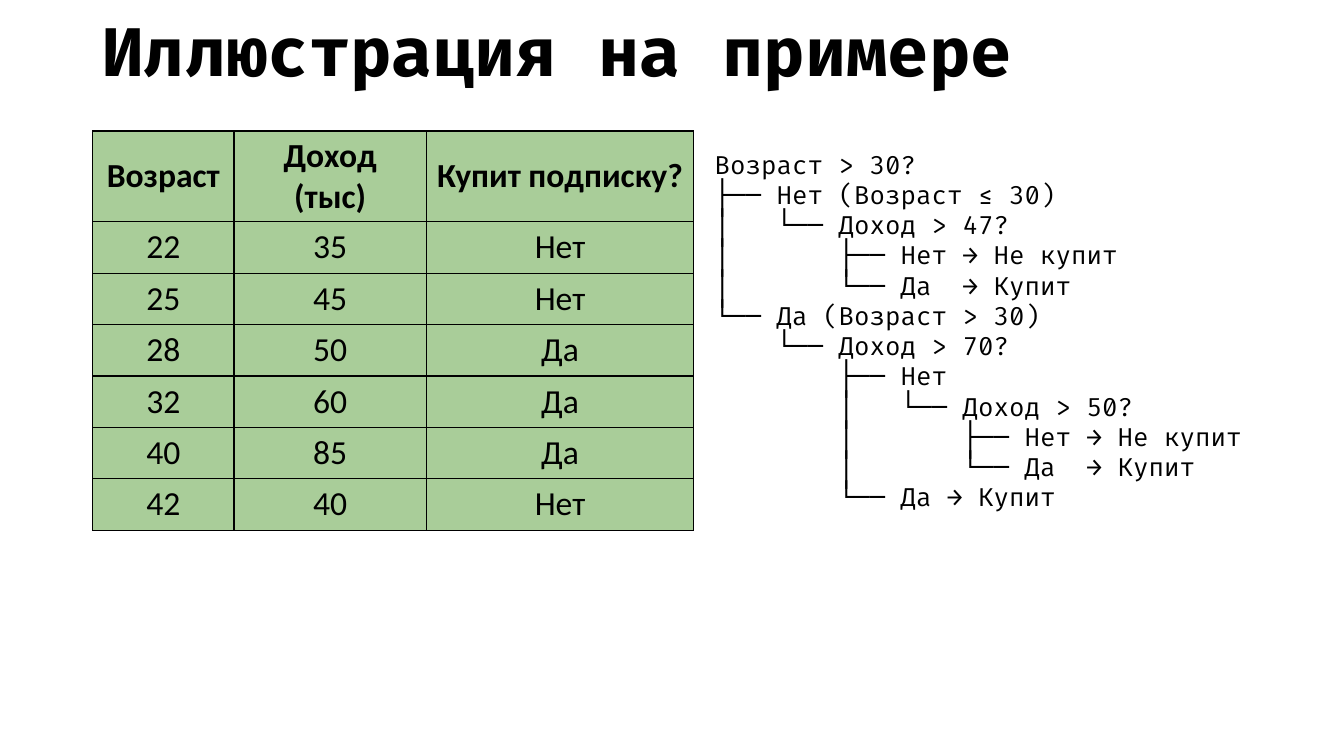
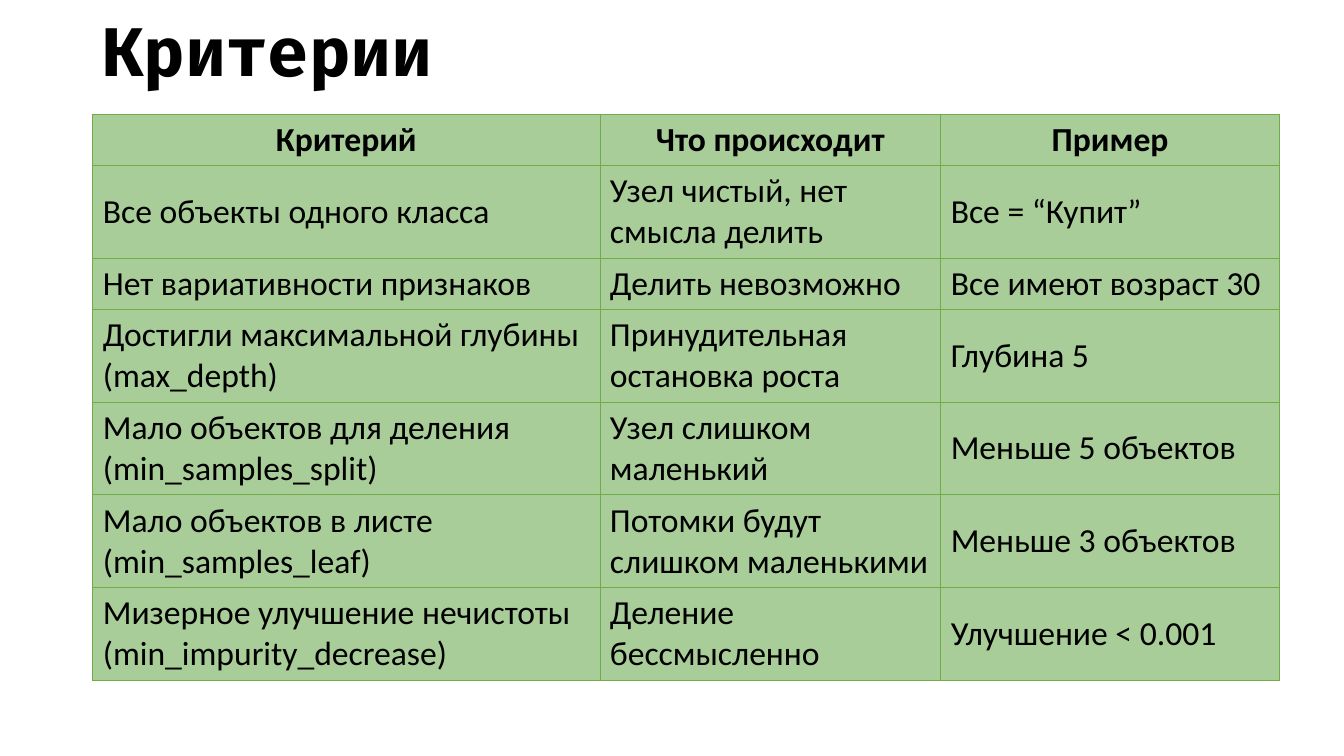
from lxml import etree
from pptx import Presentation
from pptx.dml.color import RGBColor
from pptx.enum.text import MSO_ANCHOR, PP_ALIGN
from pptx.oxml.ns import qn
from pptx.util import Inches, Pt

MIDDLE, TOP = MSO_ANCHOR.MIDDLE, MSO_ANCHOR.TOP
CENTER, LEFT = PP_ALIGN.CENTER, PP_ALIGN.LEFT
BLACK, GREEN, PALE_GREEN = "000000", "70AD47", "A9CD99"
CODE_FONT, TABLE_FONT = "Fira Code", "Calibri"
MARGIN = 0.92
ROW_H, LINE_H = 0.51, 0.41

SAMPLE = [
    ("Возраст", "Доход (тыс)", "Купит подписку?"),
    ("22", "35", "Нет"),
    ("25", "45", "Нет"),
    ("28", "50", "Да"),
    ("32", "60", "Да"),
    ("40", "85", "Да"),
    ("42", "40", "Нет"),
]

TREE = """Возраст > 30?
├── Нет (Возраст ≤ 30)
│   └── Доход > 47?
│       ├── Нет → Не купит
│       └── Да  → Купит
└── Да (Возраст > 30)
    └── Доход > 70?
        ├── Нет
        │   └── Доход > 50?
        │       ├── Нет → Не купит
        │       └── Да  → Купит
        └── Да → Купит"""

CRITERIA = [
    ("Критерий", "Что происходит", "Пример"),
    ("Все объекты одного класса", "Узел чистый, нет смысла делить", "Все = “Купит”"),
    ("Нет вариативности признаков", "Делить невозможно", "Все имеют возраст 30"),
    ("Достигли максимальной глубины (max_depth)", "Принудительная остановка роста", "Глубина 5"),
    ("Мало объектов для деления (min_samples_split)", "Узел слишком маленький", "Меньше 5 объектов"),
    ("Мало объектов в листе (min_samples_leaf)", "Потомки будут слишком маленькими", "Меньше 3 объектов"),
    ("Мизерное улучшение нечистоты (min_impurity_decrease)", "Деление бессмысленно", "Улучшение < 0.001"),
]


def rgb(color):
    """Turn a hex string into a colour."""
    return RGBColor.from_string(color)


def style(p, font, size, bold=False, align=LEFT):
    """Format a paragraph and its runs."""
    p.alignment = align
    for r in p.runs:
        r.font.name, r.font.size, r.font.bold = font, Pt(size), bold
        r.font.color.rgb = rgb(BLACK)


def add_text(s, box, text, size, bold=False, anchor=TOP, spacing=1.0):
    """Add a text box in the code font."""
    tf = s.shapes.add_textbox(*map(Inches, box)).text_frame
    tf.word_wrap = True
    tf.vertical_anchor = anchor
    tf.text = text
    for p in tf.paragraphs:
        p.line_spacing = spacing
        style(p, CODE_FONT, size, bold)


def set_borders(cell, color, width):
    """Draw the four borders of a cell, ahead of its fill."""
    tc_pr = cell._tc.get_or_add_tcPr()
    for i, side in enumerate(("a:lnL", "a:lnR", "a:lnT", "a:lnB")):
        ln = etree.Element(qn(side), w=str(Pt(width)))
        fill = etree.SubElement(ln, qn("a:solidFill"))
        etree.SubElement(fill, qn("a:srgbClr"), val=color)
        tc_pr.insert(i, ln)


def add_grid(s, left, top, widths, heights, rows, border, body_align):
    """Add a pale green table with a bold centred header."""
    box = (left, top, sum(widths), sum(heights))
    table = s.shapes.add_table(len(rows), len(widths), *map(Inches, box)).table
    table.horz_banding = False
    for column, width in zip(table.columns, widths):
        column.width = Inches(width)
    for i, (values, height) in enumerate(zip(rows, heights)):
        table.rows[i].height = Inches(height)
        for j, value in enumerate(values):
            cell = table.cell(i, j)
            cell.text = value
            cell.vertical_anchor = MIDDLE
            cell.fill.solid()
            cell.fill.fore_color.rgb = rgb(PALE_GREEN)
            set_borders(cell, *border)
            style(cell.text_frame.paragraphs[0], TABLE_FONT, 24,
                  bold=i == 0, align=body_align if i else CENTER)


def new_slide(prs, title):
    """Add a blank slide with its title."""
    s = prs.slides.add_slide(prs.slide_layouts[6])
    add_text(s, (MARGIN, 0, 11.64, 1.08), title, 48, True, MIDDLE, 0.9)
    return s


def example_slide(prs):
    """Build the sample data beside its decision tree."""
    s = new_slide(prs, "Иллюстрация на примере")
    add_grid(s, MARGIN, 1.3, (1.4, 1.91, 2.65), [ROW_H] * len(SAMPLE),
             SAMPLE, (BLACK, 1), CENTER)
    add_text(s, (6.99, 1.43, 6.08, 3.74), TREE, 18)


def criteria_slide(prs):
    """Build the table of stopping criteria."""
    s = new_slide(prs, "Критерии")
    lines = (1, 2, 1, 2, 2, 2, 2)
    heights = [ROW_H + LINE_H * (n - 1) for n in lines]
    add_grid(s, MARGIN, 1.13, (5.03, 3.38, 3.36), heights,
             CRITERIA, (GREEN, 0.5), LEFT)


def main():
    """Build and save the presentation."""
    prs = Presentation()
    prs.slide_width, prs.slide_height = Inches(13.33), Inches(7.5)
    example_slide(prs)
    criteria_slide(prs)
    prs.save("out.pptx")


if __name__ == "__main__":
    main()
